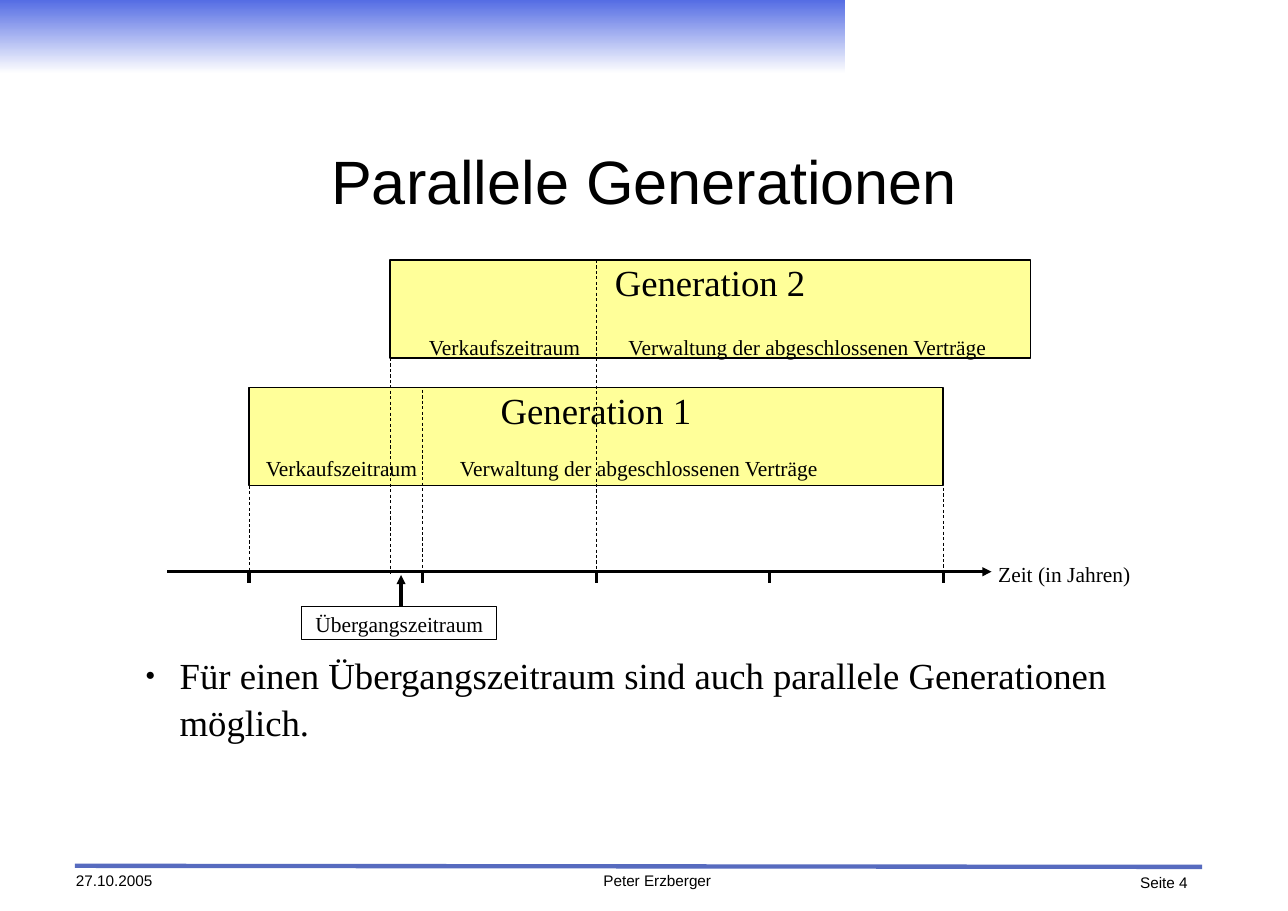
from lxml import etree
from pptx import Presentation
from pptx import util as u
from pptx.dml.color import RGBColor
from pptx.enum import dml, shapes, text
from pptx.oxml.ns import qn

COLORS = {"ink": "000000", "paper": "FFFFFF", "banner": "556DE4",
          "rule": "576BBF", "generation": "FFFF99"}
SANS, SERIF = "Arial", "Times New Roman"
LEFT, CENTER, RIGHT = text.PP_ALIGN.LEFT, text.PP_ALIGN.CENTER, text.PP_ALIGN.RIGHT
TOP, MIDDLE = text.MSO_ANCHOR.TOP, text.MSO_ANCHOR.MIDDLE


def rgb(name):
    return RGBColor.from_string(COLORS[name])


class SlideBuilder:
    def __init__(self, slide):
        self.slide = slide

    def set_words(self, shape, words, size, font=SERIF, align=CENTER, anchor=TOP):
        frame = shape.text_frame
        frame.text = words
        frame.word_wrap = True
        frame.auto_size = text.MSO_AUTO_SIZE.NONE
        frame.vertical_anchor = anchor
        frame.margin_left = frame.margin_right = 0
        frame.margin_top = frame.margin_bottom = 0
        paragraph = frame.paragraphs[0]
        paragraph.alignment = align
        for run in paragraph.runs:
            run.font.size = u.Pt(size)
            run.font.name = font
            run.font.color.rgb = rgb("ink")
        return paragraph

    def placeholder(self, index, place, words, size, **style):
        holder = self.slide.placeholders[index]
        holder.left, holder.top, holder.width, holder.height = map(u.Inches, place)
        return self.set_words(holder, words, size, **style)

    def bullet(self, place, words, size):
        paragraph = self.placeholder(1, place, words, size, align=LEFT)
        paragraph.level = 1
        paragraph.space_before = u.Pt(0)
        paragraph.line_spacing = 1.05
        props = paragraph._p.get_or_add_pPr()
        props.set("marL", str(u.Inches(0.94)))
        props.set("indent", str(u.Inches(-0.31)))
        etree.SubElement(props, qn("a:buSzPct"), val="45000")
        etree.SubElement(props, qn("a:buChar"), char="●")

    def label(self, place, words, size=14, **style):
        box = self.slide.shapes.add_textbox(*map(u.Inches, place))
        self.set_words(box, words, size, **style)

    def rectangle(self, place):
        box = self.slide.shapes.add_shape(
            shapes.MSO_SHAPE.RECTANGLE, *map(u.Inches, place))
        box.shadow.inherit = False
        return box

    def banner(self, place):
        band = self.rectangle(place)
        band.line.fill.background()
        band.fill.gradient()
        band.fill.gradient_angle = 90
        for stop, position, color in zip(band.fill.gradient_stops, (0, 1),
                                         ("paper", "banner")):
            stop.position = position
            stop.color.rgb = rgb(color)

    def box(self, place, words, size, fill=None, anchor=TOP):
        box = self.rectangle(place)
        if fill:
            box.fill.solid()
            box.fill.fore_color.rgb = rgb(fill)
        else:
            box.fill.background()
        box.line.color.rgb = rgb("ink")
        box.line.width = u.Pt(0)
        self.set_words(box, words, size, anchor=anchor)

    def line(self, start, end, color="ink", width=0, dashed=False, arrow=False):
        line = self.slide.shapes.add_connector(
            shapes.MSO_CONNECTOR.STRAIGHT, *map(u.Inches, (*start, *end)))
        line.line.color.rgb = rgb(color)
        line.line.width = u.Pt(width)
        if dashed:
            line.line.width = u.Pt(0.5)
            line.line.dash_style = dml.MSO_LINE.DASH
        if arrow:
            etree.SubElement(line.get_or_add_ln(), qn("a:tailEnd"), type="triangle")
        etree.SubElement(line.element.spPr, qn("a:effectLst"))


def main():
    deck = Presentation()
    deck.slide_width, deck.slide_height = u.Inches(11.69), u.Inches(8.27)
    page = SlideBuilder(deck.slides.add_slide(deck.slide_layouts[1]))

    # Page frame: banner, rule and footer
    page.banner((0, 0, 7.67, 0.67))
    page.line((0.68, 7.86), (10.91, 7.87), color="rule", width=2.83)
    page.label((0.69, 7.91, 1.17, 0.2), "27.10.2005", 10, font=SANS, align=LEFT)
    page.label((5.16, 7.91, 1.61, 0.2), "Peter Erzberger", 10, font=SANS)
    page.label((10.02, 7.93, 0.76, 0.19), "Seite 4", 10, font=SANS, align=RIGHT)

    # Title and statement
    page.placeholder(0, (1.19, 0.95, 9.31, 1.37), "Parallele Generationen", 40,
                     font=SANS, anchor=MIDDLE)
    page.bullet((0.69, 5.91, 10.24, 1.14),
                "Für einen Übergangszeitraum sind auch parallele "
                "Generationen möglich.", 24)

    # Time axis with evenly spaced ticks
    axis_y = 5.19
    ticks = [2.26 + 6.3 * step / 4 for step in range(5)]
    page.line((1.52, axis_y), (9, axis_y), arrow=True)
    for tick in ticks:
        page.line((tick, axis_y), (tick, axis_y + 0.1))
    page.label((9.06, 5.09, 1.38, 0.22), "Zeit (in Jahren)", align=LEFT)

    # Generations: box, then left edge of each phase label and their top
    generations = [
        ("Generation 1", (2.26, 3.52, 6.3, 0.89), 2.36, 3.88, 4.13),
        ("Generation 2", (3.54, 2.36, 5.81, 0.89), 3.84, 5.41, 3.03),
    ]
    for name, place, sales_x, contracts_x, phase_y in generations:
        page.box(place, name, 24, fill="generation")
        page.label((sales_x, phase_y, 1.48, 0.22), "Verkaufszeitraum")
        page.label((contracts_x, phase_y, 3.84, 0.22),
                   "Verwaltung der abgeschlossenen Verträge")

    # Dashed guides from the phase limits down to the axis
    guides = [(ticks[0], 4.41), (ticks[1], 3.54), (ticks[2], 2.36),
              (ticks[4], 4.43), (3.54, 3.25)]
    for x, top in guides:
        page.line((x, top), (x, axis_y + 0.02), dashed=True)

    # Transition period
    page.box((2.74, 5.51, 1.77, 0.3), "Übergangszeitraum", 14, anchor=MIDDLE)
    page.line((3.64, 5.51), (3.64, 5.22), arrow=True)

    deck.save("out.pptx")


if __name__ == "__main__":
    main()
